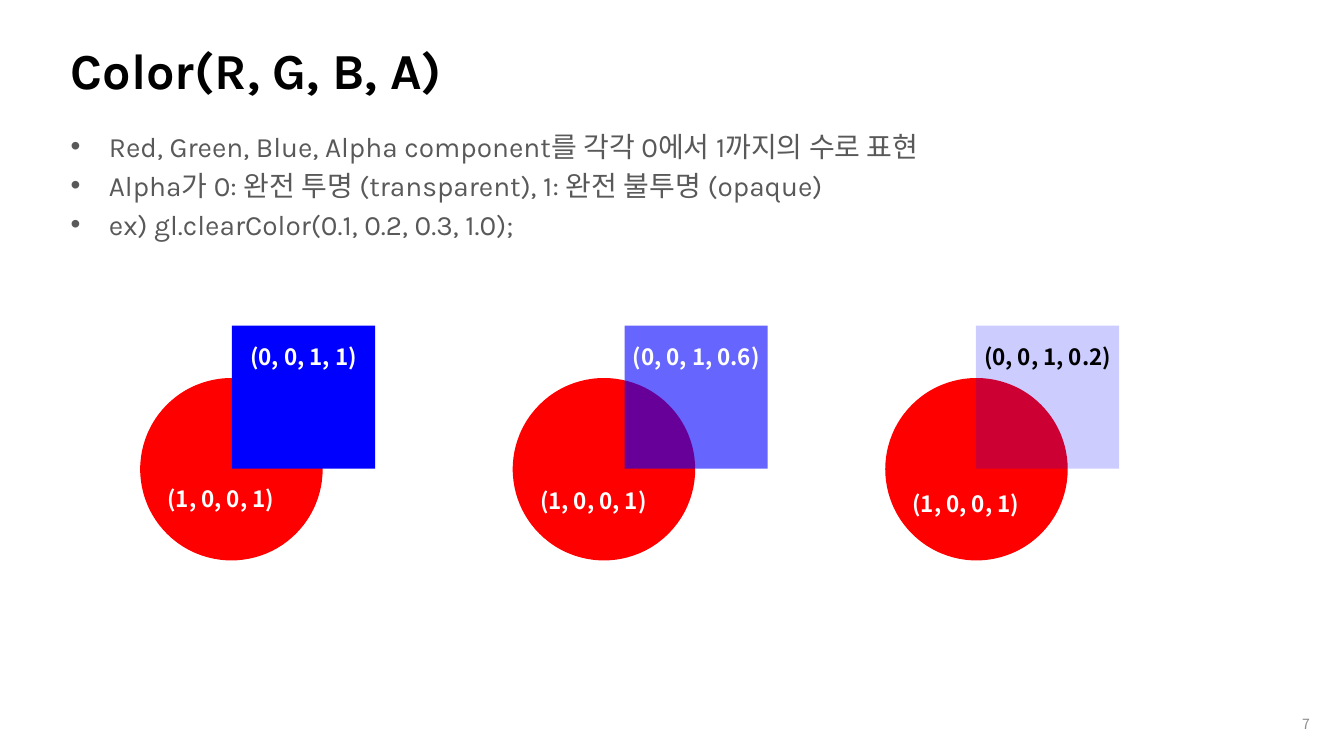
import pptx
import pptx.util
import pptx.dml.color
import pptx.enum.shapes
import pptx.enum.text
import pptx.oxml
import pptx.oxml.ns

# Content
TITLE = "Color(R, G, B, A)"
POINTS = [
    "Red, Green, Blue, Alpha component를 각각 0에서 1까지의 수로 표현",
    "Alpha가 0: 완전 투명 (transparent), 1: 완전 불투명 (opaque)",
    "ex) gl.clearColor(0.1, 0.2, 0.3, 1.0);",
]
PAGE_NUMBER = "7"
CIRCLE_LABEL = "(1, 0, 0, 1)"
# square label, its colour, opacity, square offset from circle, circle label top
BLENDS = [
    ("(0, 0, 1, 1)", "FFFFFF", 100, 0.91, 4.76),
    ("(0, 0, 1, 0.6)", "FFFFFF", 60, 1.11, 4.78),
    ("(0, 0, 1, 0.2)", "000000", 20, 0.9, 4.81),
]

# Layout, in inches
WIDTH, HEIGHT = 13.33, 7.5
MARGIN, TEXT_WIDTH = 0.6, 12.08
FIRST_CIRCLE, BLEND_STEP = 1.39, 3.695
CIRCLE_TOP, CIRCLE_SIZE = 3.75, 1.81
SQUARE_TOP, SQUARE_SIZE = 3.23, 1.42
LABEL_WIDTH, LABEL_HEIGHT, LABEL_DROP = 1.6, 0.37, 0.13

LATIN, KOREAN = "Karla", "Noto Sans CJK KR"
PARA = pptx.enum.text.PP_ALIGN
ANCHOR = pptx.enum.text.MSO_ANCHOR
SHAPE = pptx.enum.shapes.MSO_SHAPE


def rgb(code):
    return pptx.dml.color.RGBColor.from_string(code)


def inches(*lengths):
    return [pptx.util.Inches(length) for length in lengths]


def place(box, *lengths):
    box.left, box.top, box.width, box.height = inches(*lengths)


def write(para, text, size=16, color="FFFFFF", font=KOREAN, bold=False, align=PARA.LEFT):
    para.alignment = align
    span = para.add_run()
    span.text = text
    span.font.size = pptx.util.Pt(size)
    span.font.name = font
    span.font.bold = bold
    span.font.color.rgb = rgb(color)
    east_asian = pptx.oxml.parse_xml(
        f'<a:ea {pptx.oxml.ns.nsdecls("a")} typeface="{KOREAN}"/>')
    span.font._element.find(pptx.oxml.ns.qn("a:latin")).addnext(east_asian)


def add_label(parent, text, left, top, width, height, anchor=ANCHOR.TOP, **style):
    box = parent.shapes.add_textbox(*inches(left, top, width, height))
    box.text_frame.word_wrap = False
    box.text_frame.vertical_anchor = anchor
    write(box.text_frame.paragraphs[0], text, **style)


def add_solid(parent, kind, left, top, size, color, opacity=100):
    solid = parent.shapes.add_shape(kind, *inches(left, top, size, size))
    solid.shadow.inherit = False
    solid.line.fill.background()
    solid.fill.solid()
    solid.fill.fore_color.rgb = rgb(color)
    if opacity < 100:
        fill = solid._element.spPr.find(pptx.oxml.ns.qn("a:solidFill"))
        fill[0].append(pptx.oxml.parse_xml(
            f'<a:alpha {pptx.oxml.ns.nsdecls("a")} val="{opacity * 1000}"/>'))


def add_bullet(para):
    props = para._p.get_or_add_pPr()
    indent = pptx.util.Inches(0.38)
    props.set("marL", str(indent))
    props.set("indent", str(-indent))
    for tag in ('buFont typeface="Arial"', 'buChar char="•"'):
        props.append(pptx.oxml.parse_xml(f'<a:{tag} {pptx.oxml.ns.nsdecls("a")}/>'))


def main():
    deck = pptx.Presentation()
    deck.slide_width, deck.slide_height = inches(WIDTH, HEIGHT)
    page = deck.slides.add_slide(deck.slide_layouts[1])

    # Title
    title = page.shapes.title
    place(title, MARGIN, 0.29, TEXT_WIDTH, 0.79)
    title.text_frame.vertical_anchor = ANCHOR.MIDDLE
    title.text_frame.auto_size = pptx.enum.text.MSO_AUTO_SIZE.NONE
    write(title.text_frame.paragraphs[0], TITLE, size=36, color="000000",
          font=LATIN, bold=True)

    # Bulleted points
    body = page.placeholders[1]
    place(body, MARGIN, 1.23, TEXT_WIDTH, 5.75)
    frame = body.text_frame
    frame.auto_size = pptx.enum.text.MSO_AUTO_SIZE.NONE
    for index, point in enumerate(POINTS):
        para = frame.add_paragraph() if index else frame.paragraphs[0]
        para.space_before = pptx.util.Pt(4)
        add_bullet(para)
        write(para, point, size=20, color="595959", font=LATIN)

    # Page number
    add_label(page, PAGE_NUMBER, 12.68, 6.98, 0.41, 0.4, anchor=ANCHOR.MIDDLE,
              size=10, color="8C8C8C", align=PARA.RIGHT)

    # Red circles under blue squares of falling opacity
    for index, (text, color, opacity, offset, label_top) in enumerate(BLENDS):
        left = FIRST_CIRCLE + index * BLEND_STEP
        square_left = left + offset
        group = page.shapes.add_group_shape()
        add_solid(group, SHAPE.OVAL, left, CIRCLE_TOP, CIRCLE_SIZE, "FF0000")
        add_solid(group, SHAPE.RECTANGLE, square_left, SQUARE_TOP, SQUARE_SIZE,
                  "0000FF", opacity)
        add_label(group, CIRCLE_LABEL, left, label_top, LABEL_WIDTH, LABEL_HEIGHT,
                  bold=True, align=PARA.CENTER)
        add_label(group, text, square_left + (SQUARE_SIZE - LABEL_WIDTH) / 2,
                  SQUARE_TOP + LABEL_DROP, LABEL_WIDTH, LABEL_HEIGHT,
                  color=color, bold=True, align=PARA.CENTER)

    deck.save("out.pptx")


if __name__ == "__main__":
    main()
